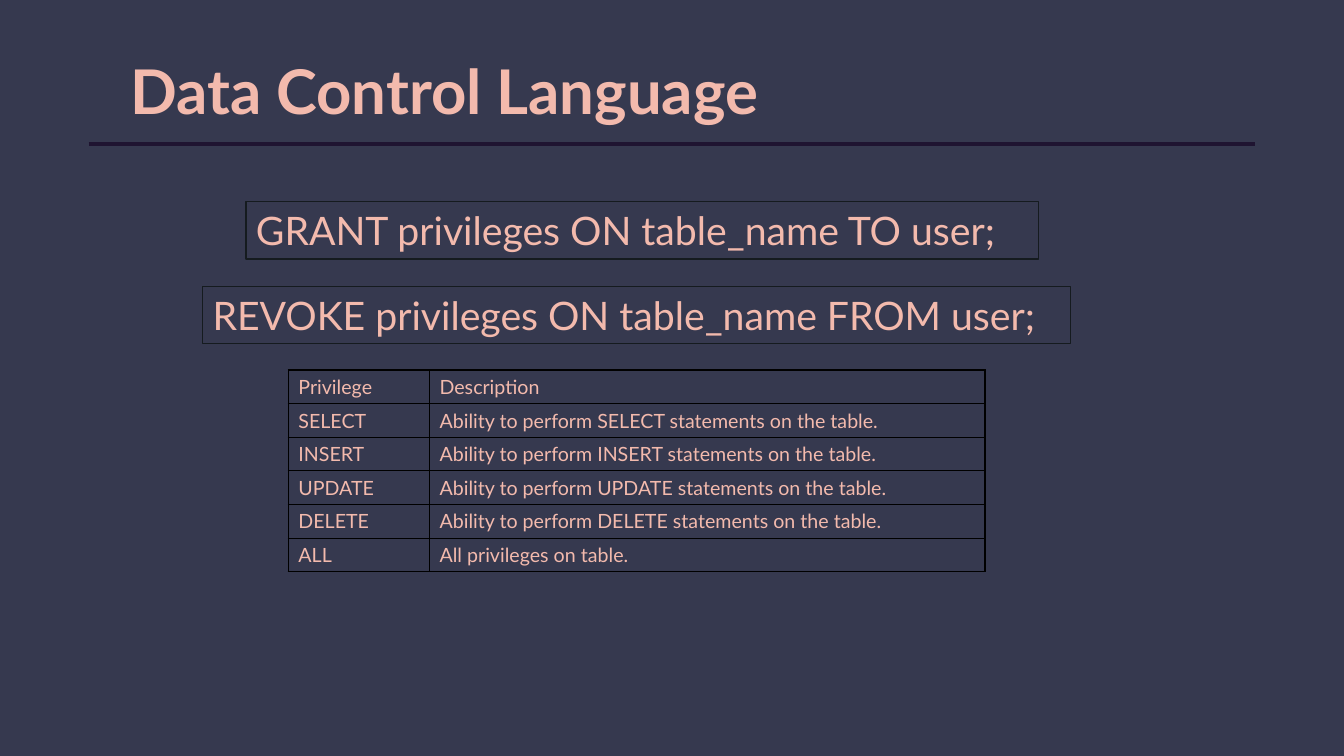
from pptx import Presentation
from pptx.dml.color import RGBColor
from pptx.enum.text import MSO_ANCHOR, PP_ALIGN
from pptx.oxml import parse_xml
from pptx.oxml.ns import nsdecls
from pptx.util import Inches, Pt
from lxml.etree import SubElement
from pptx.oxml.ns import qn

BACK = RGBColor(0x36, 0x39, 0x4F)
PINK = RGBColor(0xF3, 0xBA, 0xAD)
RULE = RGBColor(0x1F, 0x14, 0x31)
EDGE = RGBColor(0x15, 0x1B, 0x1F)
GRID = RGBColor(0, 0, 0)

TITLE = "Data Control Language"
CODE = [
    ("GRANT privileges ON table_name TO user;", 2.44, 2, 7.86),
    ("REVOKE privileges ON table_name FROM user;", 2.01, 2.84, 8.61),
]
VERBS = ["SELECT", "INSERT", "UPDATE", "DELETE"]
ROWS = [
    ("Privilege", "Description"),
    *[(verb, f"Ability to perform {verb} statements on the table.") for verb in VERBS],
    ("ALL", "All privileges on table."),
]
COLS = [1.4, 5.51]
HIGH = 2 / len(ROWS)


def write(frame, text, size, bold=False):
    frame.word_wrap = True
    frame.vertical_anchor = MSO_ANCHOR.MIDDLE
    para = frame.paragraphs[0]
    para.alignment = PP_ALIGN.LEFT
    run = para.add_run()
    run.text = text
    font = run.font
    font.name, font.size, font.bold = "Lato", Pt(size), bold
    font.color.rgb = PINK


def border(cell):
    props = cell._tc.get_or_add_tcPr()
    for side in "LRTB":
        props.append(parse_xml(
            f'<a:ln{side} {nsdecls("a")} w="{Pt(1)}"><a:solidFill>'
            f'<a:srgbClr val="{GRID}"/></a:solidFill></a:ln{side}>'))


deck = Presentation()
deck.slide_width, deck.slide_height = Inches(13.33), Inches(7.5)
slide = deck.slides.add_slide(deck.slide_layouts[5])
slide.background.fill.solid()
slide.background.fill.fore_color.rgb = BACK
shapes = slide.shapes

title = shapes.title
title.left, title.top = Inches(1.19), Inches(0.51)
title.width, title.height = Inches(10.75), Inches(0.77)
title.fill.solid()
title.fill.fore_color.rgb = BACK
write(title.text_frame, TITLE, 44, bold=True)

rule = shapes.add_connector(1, Inches(0.88), Inches(1.43), Inches(12.45), Inches(1.43))
rule.line.color.rgb = RULE
rule.line.width = Pt(3)
SubElement(rule._element.spPr, qn("a:effectLst"))

for text, left, top, width in CODE:
    box = shapes.add_textbox(Inches(left), Inches(top), Inches(width), Inches(0.57))
    box.line.color.rgb = EDGE
    box.line.width = Pt(0.75)
    write(box.text_frame, text, 28)

table = shapes.add_table(len(ROWS), len(COLS), Inches(2.86), Inches(3.67),
                         Inches(sum(COLS)), Inches(HIGH * len(ROWS))).table
table.first_row = table.horz_banding = False
for col, width in zip(table.columns, COLS):
    col.width = Inches(width)
for row, texts in zip(table.rows, ROWS):
    row.height = Inches(HIGH)
    for cell, text in zip(row.cells, texts):
        write(cell.text_frame, text, 14)
        cell.vertical_anchor = MSO_ANCHOR.MIDDLE
        border(cell)
        cell.fill.solid()
        cell.fill.fore_color.rgb = BACK

deck.save("out.pptx")
